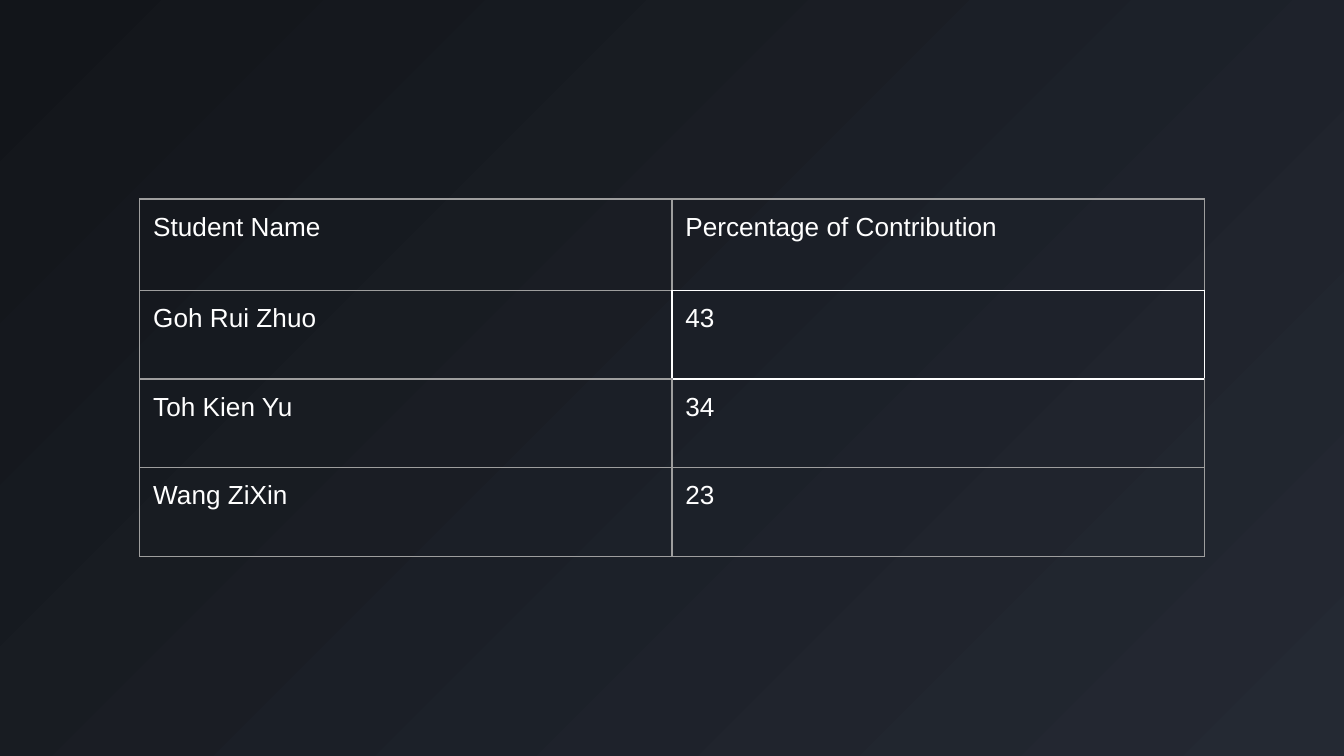
from lxml import etree
from pptx import Presentation
from pptx.dml.color import RGBColor
from pptx.oxml.ns import qn
from pptx.util import Inches, Pt

DARK = RGBColor(0x12, 0x15, 0x1A)
SLATE = RGBColor(0x24, 0x29, 0x33)
WHITE = RGBColor(0xFF, 0xFF, 0xFF)
GRAY = RGBColor(0x9E, 0x9E, 0x9E)

ROWS = [
    ("Student Name", "Percentage of Contribution"),
    ("Goh Rui Zhuo", "43"),
    ("Toh Kien Yu", "34"),
    ("Wang ZiXin", "23"),
]
# Each border tag with the step to the cell that shares it
SIDES = {"a:lnL": (0, -1), "a:lnR": (0, 1), "a:lnT": (-1, 0), "a:lnB": (1, 0)}
BRIGHT = (1, 1)  # the cell outlined in white


def add_border(cell, tag, color):
    line = etree.SubElement(cell._tc.get_or_add_tcPr(), qn(tag), w=str(Pt(0.75)))
    fill = etree.SubElement(line, qn("a:solidFill"))
    etree.SubElement(fill, qn("a:srgbClr"), val=str(color))


prs = Presentation()
prs.slide_width = Inches(10)
prs.slide_height = Inches(10 * 9 / 16)  # widescreen
slide = prs.slides.add_slide(prs.slide_layouts[6])

back = slide.background.fill
back.gradient()
back.gradient_angle = 315  # counter-clockwise: runs from top left to bottom right
for stop, color in zip(back.gradient_stops, (DARK, SLATE)):
    stop.color.rgb = color

table = slide.shapes.add_table(
    len(ROWS), 2, Inches(1.04), Inches(1.48), Inches(7.92), Inches(2.66)
).table
table.first_row = table.horz_banding = False
for row in table.rows:
    row.height = Inches(0.66)
table.rows[0].height = Inches(0.68)

for i, texts in enumerate(ROWS):
    for j, text in enumerate(texts):
        cell = table.cell(i, j)
        cell.margin_left = cell.margin_right = Inches(0.1)
        cell.margin_top = cell.margin_bottom = Inches(0.1)
        for tag, (down, right) in SIDES.items():
            bright = BRIGHT in ((i, j), (i + down, j + right))
            add_border(cell, tag, WHITE if bright else GRAY)
        cell.fill.background()
        run = cell.text_frame.paragraphs[0].add_run()
        run.text = text
        run.font.name = "Arial"
        run.font.size = Pt(14)
        run.font.color.rgb = WHITE

prs.save("out.pptx")
